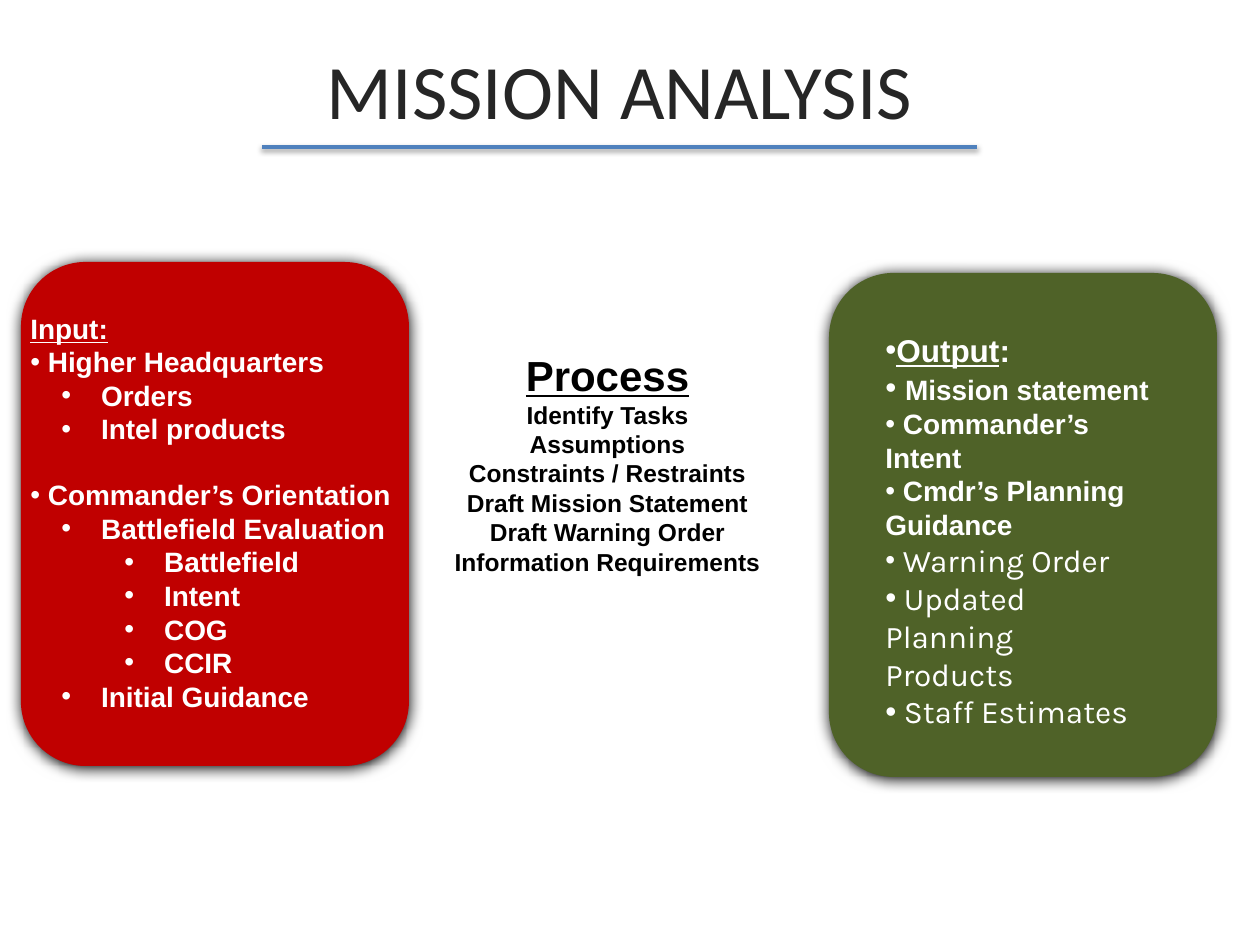
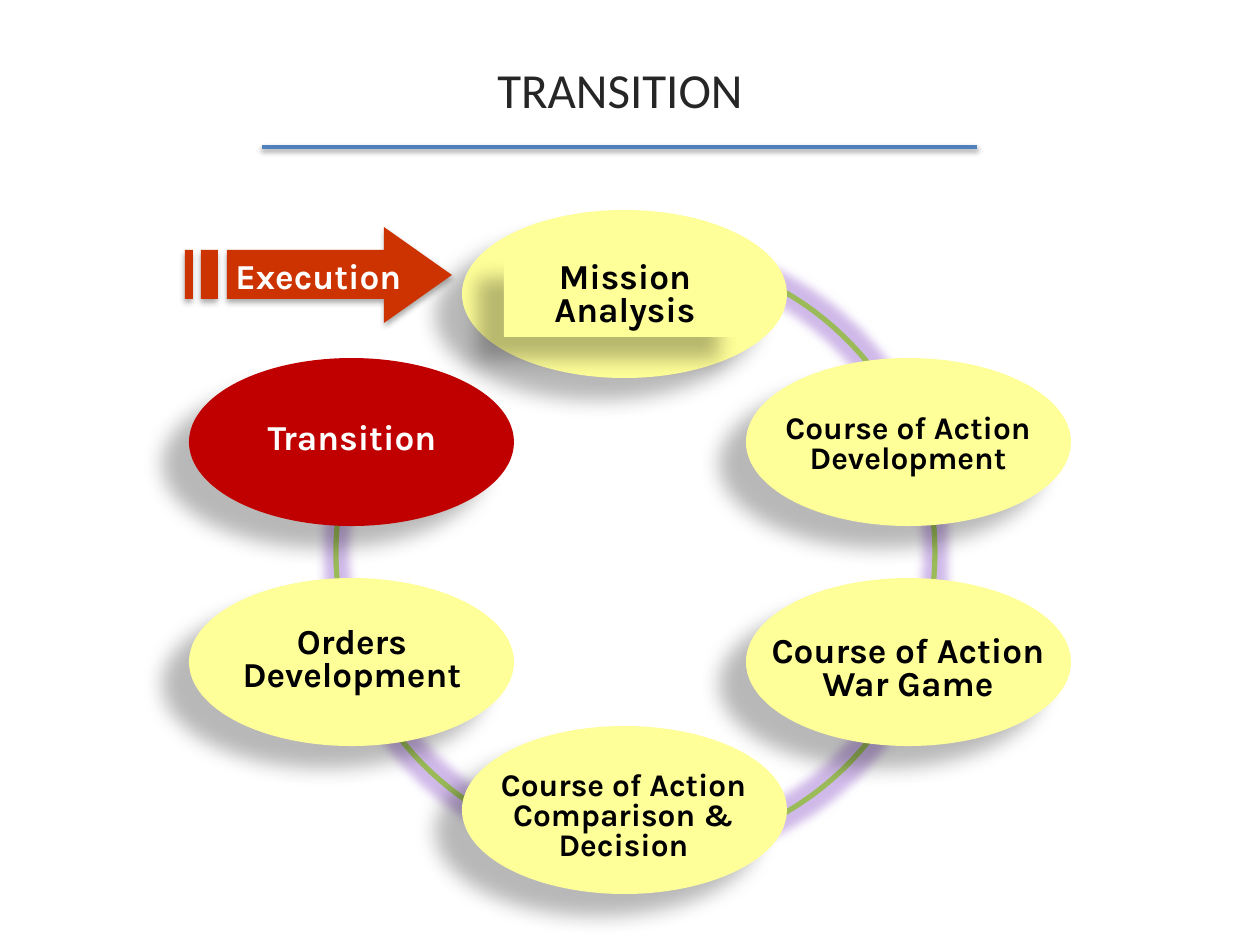
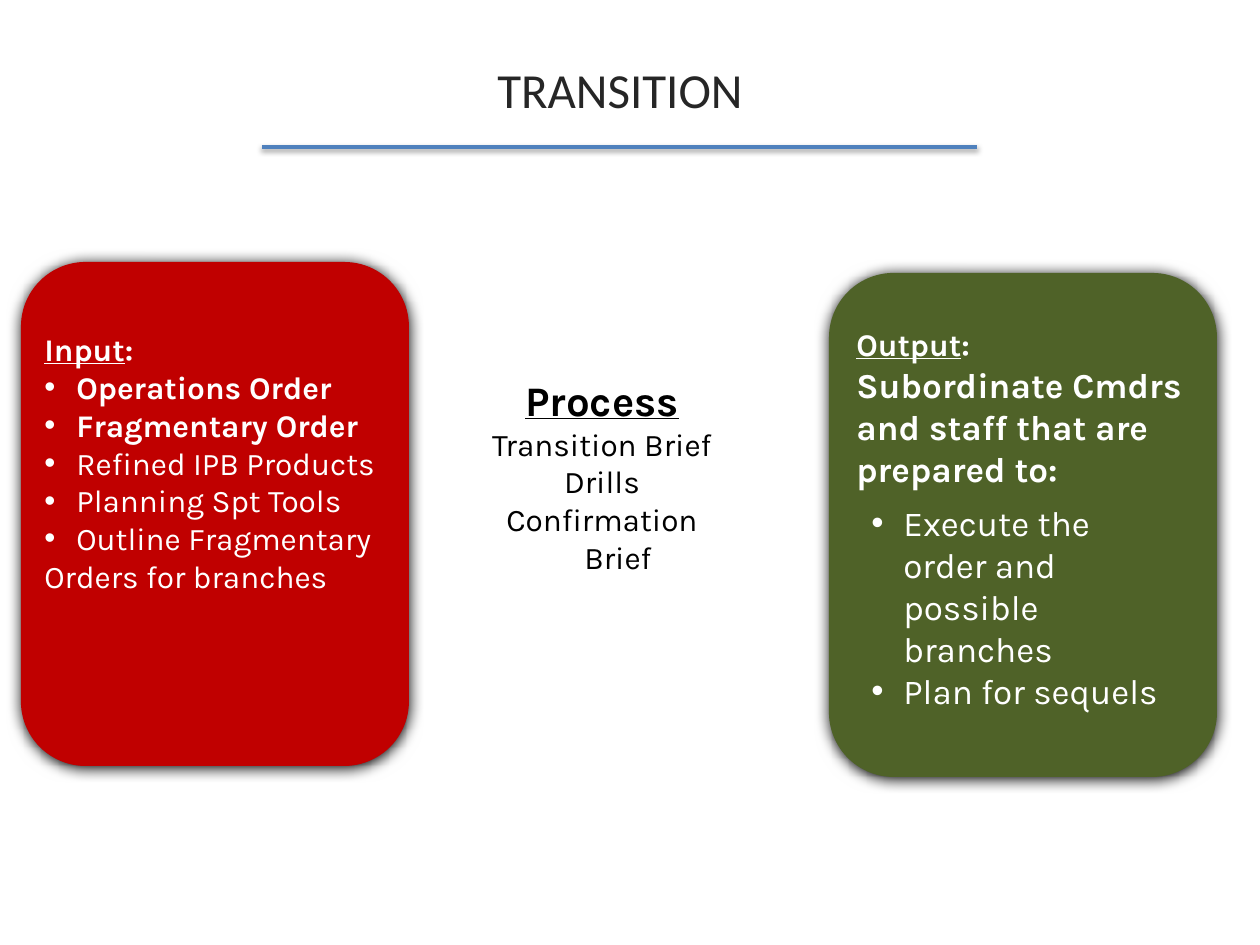
from lxml.etree import SubElement
from pptx import Presentation
from pptx.dml.color import RGBColor
from pptx.enum.shapes import MSO_CONNECTOR, MSO_SHAPE as SHAPE
from pptx.enum.text import MSO_ANCHOR as ANCHOR, MSO_AUTO_SIZE as AUTO, PP_ALIGN as ALIGN
from pptx.oxml.ns import qn
from pptx.util import Emu, Pt

PX = 914400 / 126

THEME = {
    "red": "C00000", "green": "4F6228", "yellow": "FFFF99", "orange": "CC3300",
    "ring": "9BBB59", "glow": "8950C8", "rule": "4F81BD",
    "white": "FFFFFF", "black": "000000", "title": "262626",
    "big_title": 44, "title_size": 28,
    "panel_shadow": (100, 8.5, 1, 90),
    "stage_shadow": (28, 11.8, 19.7, 141),
    "arrow_shadow": (32, 3.5, 2.2, 90),
    "rule_shadow": (38, 3.1, 1.6, 90),
}

STYLES = {
    "plain process": {"name": "Arial", "size": 24, "bold": True, "underline": True},
    "plain step": {"name": "Arial", "size": 14, "bold": True},
    "plain head": {"name": "Arial", "size": 18, "bold": True, "underline": True},
    "plain colon": {"name": "Arial", "size": 18, "bold": True},
    "plain item head": {"name": "Arial", "size": 16, "bold": True, "underline": True},
    "plain item": {"name": "Arial", "size": 16, "bold": True},
    "process": {"name": "Karla", "size": 24, "bold": True, "underline": True},
    "head": {"name": "Karla", "size": 18, "bold": True, "underline": True},
    "strong": {"name": "Karla", "size": 18, "bold": True},
    "item": {"name": "Karla", "size": 18, "bold": False},
    "large strong": {"name": "Karla", "size": 20, "bold": True},
    "large": {"name": "Karla", "size": 20, "bold": False},
}

LAYOUTS = {
    "flat": {},
    "dot": {"bullet": True},
    "gap dot": {"bullet": True, "before": 18.4},
    "sub": {"bullet": True, "left": 63, "hang": 32},
    "sub sub": {"bullet": True, "left": 126, "hang": 32},
    "hanging": {"left": 32, "hang": 32},
    "hanging dot": {"bullet": True, "left": 32, "hang": 32},
    "centre": {"align": ALIGN.CENTER},
    "centre hanging": {"align": ALIGN.CENTER, "left": 32, "hang": 32},
    "label": {"align": ALIGN.CENTER, "spacing": 0.8},
}


def same(layout, style, *texts):
    return [(layout, [(text, style)]) for text in texts]


ANALYSIS_TEXT = [
    ((873, 325, 295, 378), "white", True, [
        ("dot", [("Output", "plain head"), (":", "plain colon")]),
        ("dot", [(" ", "plain colon"), ("Mission statement", "plain item")]),
        *same("dot", "plain item", " Commander’s Intent", " Cmdr’s Planning"),
        *same("flat", "plain item", "Guidance"),
        ("dot", [(" ", "plain item"), ("Warning Order", "item")]),
        *same("dot", "item", " Updated Planning"),
        *same("flat", "item", "Products"),
        *same("dot", "item", " Staff Estimates"),
    ]),
    ((441, 343, 333, 394), "black", False, [
        *same("centre", "plain process", "Process"),
        *same("centre", "plain step", "Identify Tasks", "Assumptions",
              "Constraints / Restraints", "Draft Mission Statement",
              "Draft Warning Order", "Information Requirements"),
    ]),
    ((18, 305, 394, 459), "white", False, [
        *same("flat", "plain item head", "Input:"),
        *same("dot", "plain item", " Higher Headquarters"),
        *same("sub", "plain item", " Orders", " Intel products"),
        *same("gap dot", "plain item", " Commander’s Orientation"),
        *same("sub", "plain item", " Battlefield Evaluation"),
        *same("sub sub", "plain item", " Battlefield", " Intent", " COG", " CCIR"),
        *same("sub", "plain item", " Initial Guidance"),
    ]),
]

TRANSITION_TEXT = [
    ((462, 368, 280, 178), "black", True, [
        *same("centre hanging", "process", "Process"),
        *same("centre hanging", "item", "Transition Brief", "Drills", "Confirmation Brief"),
    ]),
    ((844, 319, 388, 299), "white", True, [
        ("flat", [("Output", "head"), (":", "strong")]),
        *same("flat", "large strong", "Subordinate Cmdrs and staff that are prepared to:"),
    ]),
    ((859, 495, 314, 223), "white", True, [
        *same("hanging dot", "large", "Execute the order and possible branches",
              "Plan for sequels"),
    ]),
    ((32, 324, 630, 280), "white", True, [
        ("hanging", [("Input", "head"), (":", "strong")]),
        *same("hanging dot", "strong", "Operations Order", "Fragmentary Order"),
        *same("hanging dot", "item", "Refined IPB Products", "Planning Spt Tools",
              "Outline Fragmentary"),
        *same("hanging", "item", "Orders for branches"),
    ]),
]

PANELS = [((829, 273), "green"), ((21, 262), "red")]
PANEL_SIZE = (388, 504)

LEFT, MIDDLE, RIGHT = 189, 462, 746
TOP, UPPER, LOWER, BOTTOM = 210, 358, 578, 726
STAGE_SIZE = (325, 168)
STAGES = [
    ("Course of Action Development", (RIGHT, UPPER), (735, 409, 346, 74), "strong", "yellow", "black"),
    ("Transition", (LEFT, UPPER), (179, 417, 346, 47), "large strong", "red", "white"),
    ("Course of Action War Game", (RIGHT, LOWER), (735, 630, 346, 81), "large strong", "yellow", "black"),
    ("Orders Development", (LEFT, LOWER), (179, 621, 346, 81), "large strong", "yellow", "black"),
    ("Course of Action Comparison & Decision", (MIDDLE, BOTTOM), (466, 766, 315, 105), "strong", "yellow", "black"),
    ("Mission Analysis", (MIDDLE, TOP), (504, 256, 242, 81), "large strong", "yellow", "black"),
]
BACKED_STAGE = "Mission Analysis"

RING = (336, 252, 599, 601)
RING_SWEEP = (164.2, 116.63)
ARROW_HEAD = [(384, 227), (384, 250), (227, 250), (227, 299), (384, 299), (384, 323), (452, 275)]
ARROW_BARS = [(201, 218), (185, 193)]
ARROW_SPAN = (250, 299)


def emu(*lengths):
    return [Emu(round(length * PX)) for length in lengths]


def rgb(name):
    return RGBColor.from_string(THEME[name])


def add_effect(part, tag, colour, alpha, **values):
    effects = part._element.spPr.get_or_add_effectLst() if hasattr(
        part._element.spPr, "get_or_add_effectLst") else SubElement(part._element.spPr, qn("a:effectLst"))
    effect = SubElement(effects, qn(tag), {key: str(round(value)) for key, value in values.items()})
    tint = SubElement(effect, qn("a:srgbClr"), val=THEME[colour])
    SubElement(tint, qn("a:alpha"), val=str(alpha * 1000))


def add_shadow(part, shadow):
    alpha, blur, distance, angle = THEME[shadow]
    add_effect(part, "a:outerShdw", "black", alpha, blurRad=Pt(blur), dist=Pt(distance),
               dir=angle * 60000, rotWithShape=0)


def paint(part, fill, shadow):
    part.shadow.inherit = False
    part.fill.solid()
    part.fill.fore_color.rgb = rgb(fill)
    part.line.fill.background()
    add_shadow(part, shadow)


def add_filled(slide, kind, box, fill, shadow):
    part = slide.shapes.add_shape(kind, *emu(*box))
    paint(part, fill, shadow)
    return part


def write_run(paragraph, text, style, colour):
    run = paragraph.add_run()
    run.text = text
    for key, value in style.items():
        setattr(run.font, key, Pt(value) if key == "size" else value)
    run.font.color.rgb = rgb(colour)


def lay_out(paragraph, bullet=False, left=0, hang=0, align=ALIGN.LEFT, spacing=None, before=None):
    properties = paragraph._p.get_or_add_pPr()
    margin, indent = emu(left, -hang)
    properties.set("marL", str(margin))
    properties.set("indent", str(indent))
    if bullet:
        SubElement(properties, qn("a:buFont"), typeface="Arial")
        SubElement(properties, qn("a:buChar"), char="•")
    else:
        SubElement(properties, qn("a:buNone"))
    paragraph.alignment = align
    if spacing:
        paragraph.line_spacing = spacing
    if before:
        paragraph.space_before = Pt(before)


def write(part, paragraphs, colour, wrap=True, anchor=ANCHOR.TOP, fit=AUTO.SHAPE_TO_FIT_TEXT):
    frame = part.text_frame
    for key, value in {"word_wrap": wrap, "vertical_anchor": anchor, "auto_size": fit}.items():
        setattr(frame, key, value)
    for index, (layout, runs) in enumerate(paragraphs):
        paragraph = frame.add_paragraph() if index else frame.paragraphs[0]
        lay_out(paragraph, **LAYOUTS[layout])
        for text, style in runs:
            write_run(paragraph, text, STYLES[style], colour)


def add_text(slide, box, colour, wrap, paragraphs):
    write(slide.shapes.add_textbox(*emu(*box)), paragraphs, colour, wrap)


def add_title(slide, title, size):
    heading = slide.shapes.add_textbox(*emu(53, 10, 1134, 158))
    heading.text_frame.word_wrap = True
    heading.text_frame.vertical_anchor = ANCHOR.MIDDLE
    paragraph = heading.text_frame.paragraphs[0]
    paragraph.alignment = ALIGN.CENTER
    write_run(paragraph, title, {"name": "Calibri", "size": THEME[size]}, "title")
    rule = slide.shapes.add_connector(MSO_CONNECTOR.STRAIGHT, *emu(262, 147, 977, 147))
    rule.line.color.rgb = rgb("rule")
    rule.line.width = Pt(2)
    add_shadow(rule, "rule_shadow")


def draw_panels(slide, texts):
    for corner, fill in PANELS:
        add_filled(slide, SHAPE.ROUNDED_RECTANGLE, corner + PANEL_SIZE, fill, "panel_shadow")
    for text in texts:
        add_text(slide, *text)


def draw_ring(slide):
    ring = slide.shapes.add_shape(SHAPE.ARC, *emu(*RING))
    for index, angle in enumerate(RING_SWEEP):
        ring.adjustments[index] = angle
    ring.shadow.inherit = False
    ring.fill.background()
    ring.line.color.rgb = rgb("ring")
    ring.line.width = Pt(3)
    add_effect(ring, "a:glow", "glow", 40, rad=Pt(11))


def draw_stages(slide):
    for label, corner, box, style, fill, colour in STAGES:
        add_filled(slide, SHAPE.OVAL, corner + STAGE_SIZE, fill, "stage_shadow")
        paragraphs = same("label", style, label)
        if label == BACKED_STAGE:
            backing = add_filled(slide, SHAPE.RECTANGLE, box, fill, "stage_shadow")
            write(backing, paragraphs, colour)
        else:
            add_text(slide, box, colour, True, paragraphs)


def draw_execution(slide):
    top, bottom = ARROW_SPAN
    bars = [[(left, top), (left, bottom), (right, bottom), (right, top)] for left, right in ARROW_BARS]
    outline = slide.shapes.build_freeform(*ARROW_HEAD[0], scale=PX)
    outline.add_line_segments(ARROW_HEAD[1:], close=True)
    for bar in bars:
        outline.move_to(*bar[0])
        outline.add_line_segments(bar[1:], close=True)
    arrow = outline.convert_to_shape()
    paint(arrow, "orange", "arrow_shadow")
    write(arrow, same("centre", "large strong", "Execution"), "white",
          wrap=False, anchor=ANCHOR.MIDDLE, fit=AUTO.NONE)


def draw_cycle(slide):
    draw_ring(slide)
    draw_stages(slide)
    draw_execution(slide)


def main():
    deck = Presentation()
    deck.slide_width, deck.slide_height = emu(1260, 945)
    pages = [
        ("MISSION ANALYSIS", "big_title", lambda slide: draw_panels(slide, ANALYSIS_TEXT)),
        ("TRANSITION", "title_size", draw_cycle),
        ("TRANSITION", "title_size", lambda slide: draw_panels(slide, TRANSITION_TEXT)),
    ]
    for title, size, draw in pages:
        slide = deck.slides.add_slide(deck.slide_layouts[6])
        draw(slide)
        add_title(slide, title, size)
    deck.save("out.pptx")


if __name__ == "__main__":
    main()
